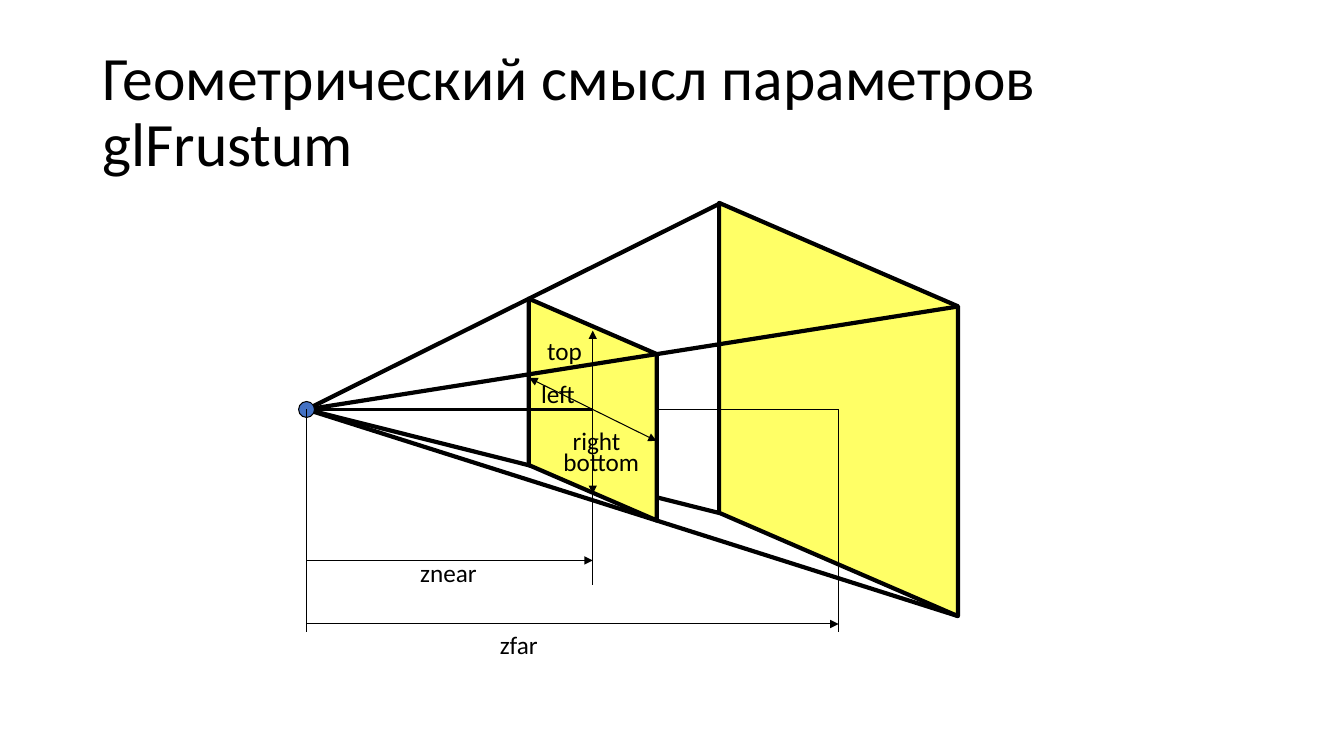
from lxml.etree import SubElement
from pptx import Presentation
from pptx.dml.color import RGBColor
from pptx.enum.shapes import MSO_CONNECTOR as Connector, MSO_SHAPE as Shape
from pptx.enum.text import MSO_ANCHOR as Anchor, MSO_AUTO_SIZE as AutoSize, PP_ALIGN as Align
from pptx.oxml.ns import qn
from pptx.util import Pt

COLORS = {"ink": "000000", "plane": "FFFF66", "eye": "4472C4"}
FONT = "Calibri"
THICK, MEDIUM, THIN = 3, 2.25, 0.75


class Diagram:
    def __init__(self, slide):
        self.slide = slide

    def color(self, name):
        return RGBColor.from_string(COLORS[name])

    def style_text(self, paragraph, size):
        paragraph.font.name = FONT
        paragraph.font.size = Pt(size)
        paragraph.font.color.rgb = self.color("ink")
        paragraph.alignment = Align.LEFT

    def title(self, text, left, top, width, height):
        title = self.slide.shapes.title
        title.left, title.top, title.width, title.height = map(Pt, (left, top, width, height))
        frame = title.text_frame
        frame.text = text
        frame.auto_size = AutoSize.NONE
        frame.vertical_anchor = Anchor.MIDDLE
        frame.paragraphs[0].line_spacing = 0.9
        self.style_text(frame.paragraphs[0], 44)

    def figure(self, kind, center, width, height, fill, weight):
        x, y = center
        figure = self.slide.shapes.add_shape(
            kind, Pt(x - width / 2), Pt(y - height / 2), Pt(width), Pt(height))
        figure.shadow.inherit = False
        figure.fill.solid()
        figure.fill.fore_color.rgb = self.color(fill)
        figure.line.color.rgb = self.color("ink")
        figure.line.width = Pt(weight)
        return figure

    def clip_plane(self, center, length, depth):
        """Parallelogram turned upright, with its length running vertically."""
        plane = self.figure(Shape.PARALLELOGRAM, center, length, depth, "plane", THICK)
        plane.adjustments[0] = 0.433
        plane.rotation = 270

    def line(self, start, end, weight=THIN, arrow=False):
        line = self.slide.shapes.add_connector(Connector.STRAIGHT, *map(Pt, (*start, *end)))
        line.line.color.rgb = self.color("ink")
        line.line.width = Pt(weight)
        if arrow:
            SubElement(line.line._get_or_add_ln(), qn("a:tailEnd"), type="triangle")
        SubElement(line._element.spPr, qn("a:effectLst"))

    def label(self, text, left, top, width, height=29, tight=False):
        """A tight label wraps and has no insets."""
        box = self.slide.shapes.add_textbox(*map(Pt, (left, top, width, height)))
        frame = box.text_frame
        frame.text = text
        frame.word_wrap = tight
        frame.auto_size = AutoSize.SHAPE_TO_FIT_TEXT
        if tight:
            frame.margin_left = frame.margin_right = frame.margin_top = frame.margin_bottom = 0
        self.style_text(frame.paragraphs[0], 18)


def main():
    prs = Presentation()
    prs.slide_width, prs.slide_height = Pt(960), Pt(540)
    diagram = Diagram(prs.slides.add_slide(prs.slide_layouts[5]))
    diagram.title("Геометрический смысл параметров glFrustum", 66, 28.8, 828, 104.4)

    axis_y = 292.5
    eye = (219, axis_y)
    near = (423.4, axis_y)
    far = (599, axis_y)
    far_left, far_right = 514, 684

    diagram.line((far_left, 366.5), eye, THICK)
    diagram.clip_plane(far, 295.2, 170.6)
    diagram.clip_plane(near, 158.4, 91.4)
    diagram.line((213.8, axis_y), near, MEDIUM)
    for corner in ((far_right, 440), (far_right, 219), (far_left, 145.5)):
        diagram.line(corner, eye, THICK)
    diagram.line((469, axis_y), far)
    diagram.figure(Shape.OVAL, eye, 11.4, 11.4, "eye", THIN)

    for (x, y), bottom in ((eye, 451.3), (near, 417.6), (far, 451.3)):
        diagram.line((x, y), (x, bottom))
    for plane, y in ((near, 400.3), (far, 445.7)):
        diagram.line((eye[0], y), (plane[0], y), arrow=True)
    for tip in ((near[0], 352.8), (near[0], 236.2), (378, 270), (469, 315)):
        diagram.line(near, tip, arrow=True)

    diagram.label("znear", 293, 394.6, 58.3)
    diagram.label("zfar", 350, 445.7, 44)
    diagram.label("bottom", 395.3, 315.4, 71.3)
    diagram.label("top", 383.8, 236.2, 40.3)
    diagram.label("right", 409, 303.8, 39.6, 21.6, tight=True)
    diagram.label("left", 386.5, 270, 28.1, 21.6, tight=True)

    prs.save("out.pptx")


if __name__ == "__main__":
    main()
